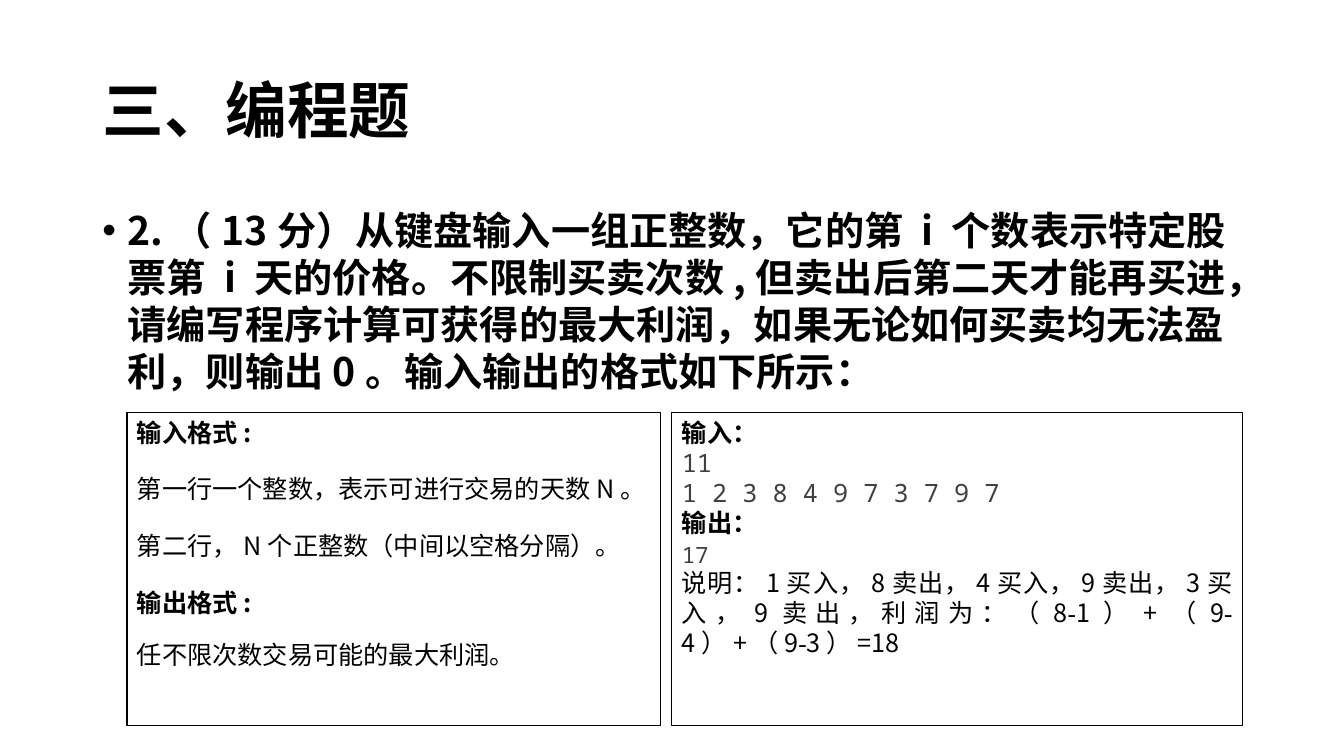
"""Build the slide with a trading profit programming task."""
from lxml import etree
from pptx import Presentation
from pptx.dml.color import RGBColor
from pptx.enum.shapes import MSO_SHAPE
from pptx.enum.text import MSO_ANCHOR, MSO_AUTO_SIZE, PP_ALIGN
from pptx.oxml.ns import qn
from pptx.util import Pt

RECT = MSO_SHAPE.RECTANGLE
TOP, MIDDLE = MSO_ANCHOR.TOP, MSO_ANCHOR.MIDDLE
FIXED = MSO_AUTO_SIZE.NONE
LEFT, JUST = PP_ALIGN.LEFT, PP_ALIGN.JUSTIFY
BLACK = RGBColor(0, 0, 0)
GRAY = RGBColor(0x40, 0x40, 0x40)
WHITE = RGBColor(255, 255, 255)
SANS, MONO, SERIF = "Noto Sans CJK SC", "Noto Sans Mono", "Times New Roman"

TITLE = "三、编程题"
TASK = ("2.（13分）从键盘输入一组正整数，它的第 i 个数表示特定股票第 i 天的价格。"
        "不限制买卖次数,但卖出后第二天才能再买进，请编写程序计算可获得的最大利润，"
        "如果无论如何买卖均无法盈利，则输出0。输入输出的格式如下所示：")
NOTE = "说明：1买入，8卖出，4买入，9卖出，3买入，9卖出，利润为：（8-1）+（9-4）+（9-3）=18"
HEAD = {"bold": True}
CODE = {"font": MONO, "color": GRAY}
FORMAT = [
    ("输入格式:", {"bold": True, "after": 9.5}),
    ("第一行一个整数，表示可进行交易的天数N。", {"before": 9.5, "after": 9.5}),
    ("第二行，N个正整数（中间以空格分隔）。", {"before": 9.5, "after": 9.5}),
    ("输出格式:", {"bold": True, "before": 9.5, "after": 9.5}),
    ("任不限次数交易可能的最大利润。", {"before": 6, "after": 6}),
]
SAMPLE = [
    ("输入：", {**HEAD, "align": JUST}),
    ("11", CODE),
    ("1 2 3 8 4 9 7 3 7 9 7", {**CODE, "align": JUST}),
    ("输出：", {**HEAD, "align": JUST}),
    ("17", {**CODE, "size": 16, "align": JUST}),
    (NOTE, {"minus": SERIF, "align": JUST}),
]


def write(para, text, size=18, font=SANS, color=BLACK, bold=False, align=LEFT,
          before=0, after=0, line=Pt(21.5), minus=None):
    """Fill a paragraph, with an optional font for its minus signs."""
    para.alignment = align
    para.space_before, para.space_after = Pt(before), Pt(after)
    para.line_spacing = line
    parts = text.replace("-", "\n-\n").split("\n") if minus else [text]
    for part in parts:
        run = para.add_run()
        run.text = part
        style = run.font
        style.size, style.bold = Pt(size), bold
        style.color.rgb = color
        style.name = minus if part == "-" else font
        east = etree.SubElement(run._r.get_or_add_rPr(), qn("a:ea"))
        east.set("typeface", SANS if font == SERIF else font)


class Page:
    """Hold the slide and the shared look of its parts."""

    def __init__(self, deck):
        """Add a slide with a title and a body."""
        self.slide = deck.slides.add_slide(deck.slide_layouts[1])
        self.line = Pt(0.75)

    def place(self, index, box, anchor):
        """Move a placeholder and return its first paragraph."""
        shape = self.slide.placeholders[index]
        shape.left, shape.top, shape.width, shape.height = map(Pt, box)
        frame = shape.text_frame
        frame.word_wrap, frame.auto_size = True, FIXED
        frame.vertical_anchor = anchor
        return frame.paragraphs[0]

    def title(self, text, box):
        """Write the title."""
        write(self.place(0, box, MIDDLE), text, size=44, bold=True, line=0.9)

    def item(self, text, box):
        """Write the body as one bullet."""
        para = self.place(1, box, TOP)
        props = para._p.get_or_add_pPr()
        props.set("marL", str(Pt(18)))
        props.set("indent", str(Pt(-18)))
        etree.SubElement(props, qn("a:buFont")).set("typeface", "Arial")
        etree.SubElement(props, qn("a:buChar")).set("char", "•")
        write(para, text, size=28, bold=True, line=Pt(33.6))

    def panel(self, rows, box):
        """Draw a framed box with one paragraph for each row."""
        shape = self.slide.shapes.add_shape(RECT, *map(Pt, box))
        shape.shadow.inherit = False
        shape.fill.solid()
        shape.fill.fore_color.rgb = WHITE
        shape.line.color.rgb = BLACK
        shape.line.width = self.line
        frame = shape.text_frame
        frame.word_wrap, frame.vertical_anchor = True, TOP
        for index, (text, style) in enumerate(rows):
            para = frame.add_paragraph() if index else frame.paragraphs[0]
            write(para, text, **style)


def main():
    """Build and save the deck."""
    deck = Presentation()
    deck.slide_width, deck.slide_height = Pt(960), Pt(540)
    page = Page(deck)
    page.title(TITLE, (66, 28.75, 828, 104.4))
    page.item(TASK, (66, 144, 828, 144))
    page.panel(SAMPLE, (480, 294.5, 407.5, 224))
    page.panel(FORMAT, (90.7, 294.5, 381, 224))
    deck.save("out.pptx")


if __name__ == "__main__":
    main()
